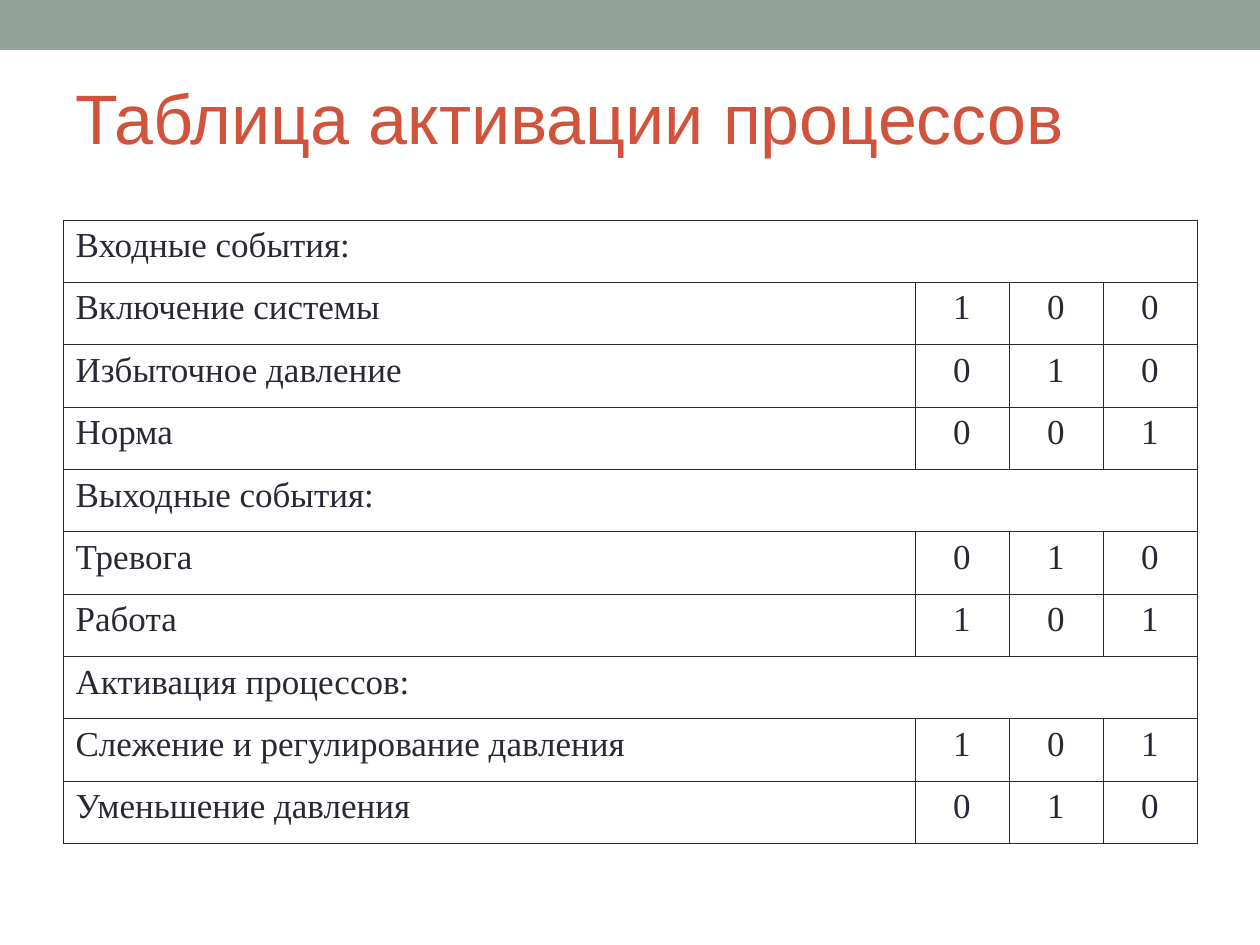
from lxml.etree import SubElement
from pptx import Presentation
from pptx.dml.color import RGBColor
from pptx.enum.shapes import MSO_SHAPE
from pptx.enum.text import MSO_ANCHOR, PP_ALIGN
from pptx.oxml.ns import qn
from pptx.util import Pt

# Content: a row without values is a heading across the table
TITLE = "Таблица активации процессов"
ROWS = [
    ("Входные события:", ""),
    ("Включение системы", "100"),
    ("Избыточное давление", "010"),
    ("Норма", "001"),
    ("Выходные события:", ""),
    ("Тревога", "010"),
    ("Работа", "101"),
    ("Активация процессов:", ""),
    ("Слежение и регулирование давления", "101"),
    ("Уменьшение давления", "010"),
]

# Layout in px and formats
SLIDE_SIZE = (1260, 945)
BAND_BOX = (0, 0, 1260, 50)
TITLE_BOX = (63, 38, 1134, 158)
TABLE_BOX = (63, 220, 1134, 624)
COLUMN_WIDTHS = (852, 94, 94, 94)
BAND_COLOR, INK = "93A299", "292934"
TITLE_FONT = {"name": "Arial", "size": Pt(40)}
CELL_FONT = {"name": "Times New Roman", "size": Pt(20)}
BORDER_WIDTH = Pt(0.45)


def px(length):
    return round(length * 914400 / 126)


def box(lengths):
    return [px(length) for length in lengths]


def color(value):
    return RGBColor.from_string(value)


def write(frame, text, font, ink, alignment):
    paragraph = frame.paragraphs[0]
    paragraph.alignment = alignment
    run = paragraph.add_run()
    run.text = text
    for name, value in font.items():
        setattr(run.font, name, value)
    run.font.color.rgb = color(ink)


def add_borders(cell):
    properties = cell._tc.get_or_add_tcPr()
    for position, side in enumerate(("lnL", "lnR", "lnT", "lnB")):
        line = properties.makeelement(qn(f"a:{side}"), {"w": str(BORDER_WIDTH)})
        fill = SubElement(line, qn("a:solidFill"))
        SubElement(fill, qn("a:srgbClr"), val=INK)
        properties.insert(position, line)


presentation = Presentation()
presentation.slide_width, presentation.slide_height = box(SLIDE_SIZE)
slide = presentation.slides.add_slide(presentation.slide_layouts[6])

# Top band
band = slide.shapes.add_shape(MSO_SHAPE.RECTANGLE, *box(BAND_BOX))
band.shadow.inherit = False
band.fill.solid()
band.fill.fore_color.rgb = color(BAND_COLOR)
band.line.fill.background()

# Title
title = slide.shapes.add_textbox(*box(TITLE_BOX)).text_frame
title.word_wrap = True
title.vertical_anchor = MSO_ANCHOR.MIDDLE
write(title, TITLE, TITLE_FONT, "D2533C", PP_ALIGN.LEFT)

# Activation table
table = slide.shapes.add_table(len(ROWS), len(COLUMN_WIDTHS), *box(TABLE_BOX)).table
table.first_row = table.horz_banding = False
for column, width in zip(table.columns, COLUMN_WIDTHS):
    column.width = px(width)
for row, (label, values) in enumerate(ROWS):
    for column in range(len(COLUMN_WIDTHS)):
        cell = table.cell(row, column)
        cell.fill.background()
        add_borders(cell)
    for column, text in enumerate([label, *values]):
        alignment = PP_ALIGN.CENTER if column else PP_ALIGN.JUSTIFY
        write(table.cell(row, column).text_frame, text, CELL_FONT, INK, alignment)
    if not values:
        table.cell(row, 0).merge(table.cell(row, len(COLUMN_WIDTHS) - 1))

presentation.save("out.pptx")
